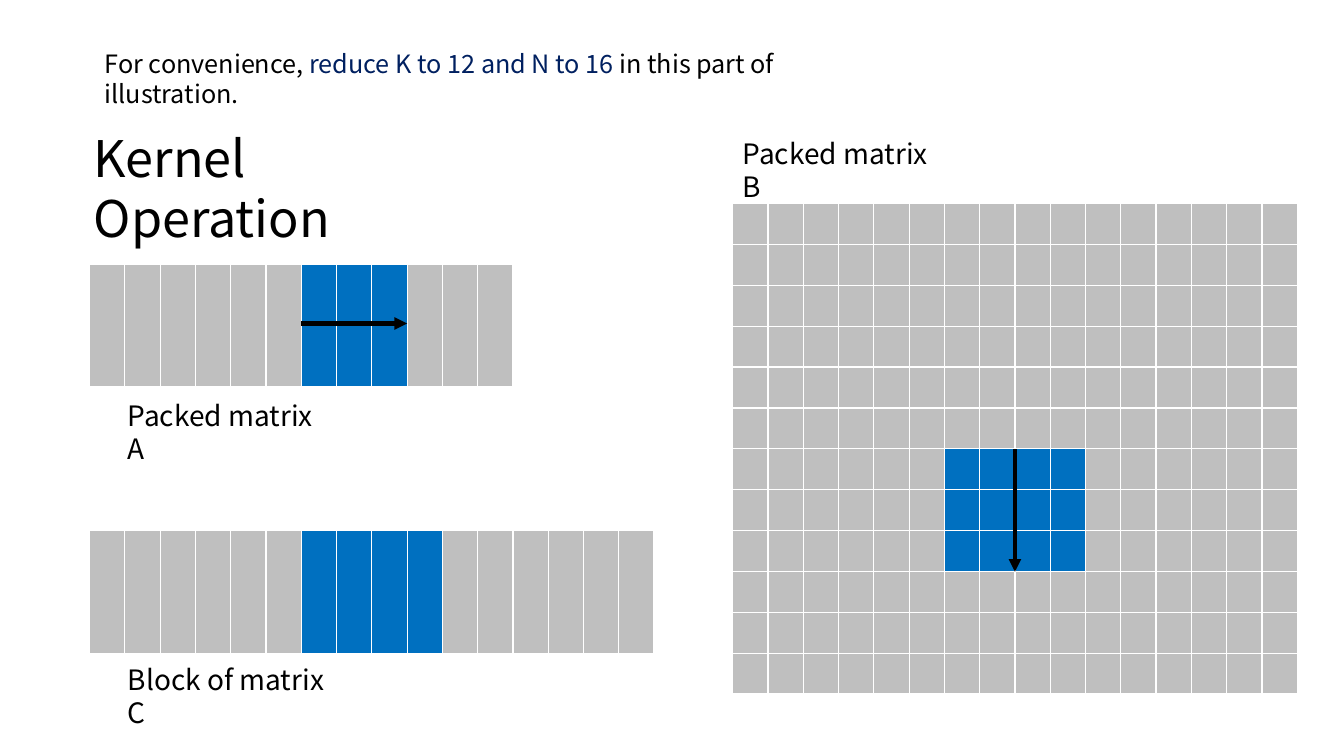
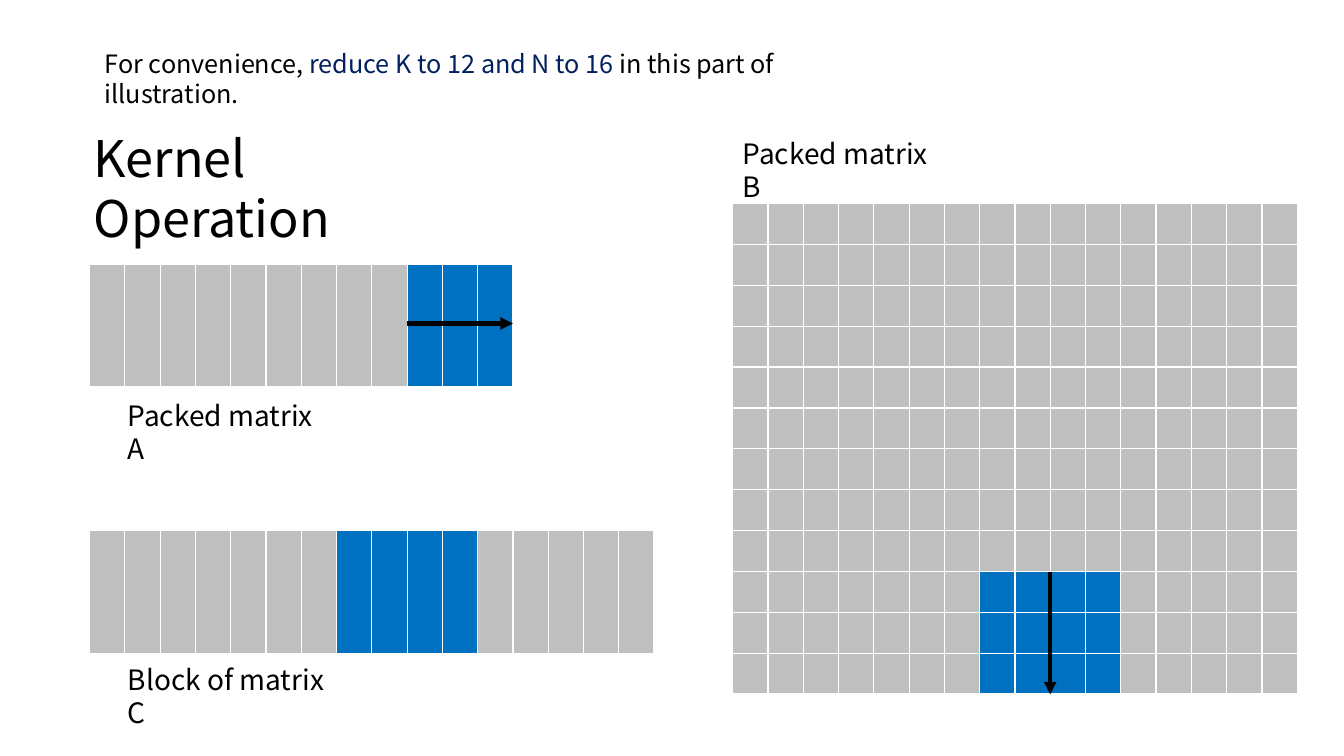
from lxml import etree
from pptx import Presentation
from pptx.dml.color import RGBColor
from pptx.enum import shapes, text
from pptx.oxml.ns import qn
from pptx.util import Pt

FONT = "Noto Sans CJK SC"
COLOURS = {
    "text": "000000",
    "emphasis": "002060",
    "idle": "BFBFBF",
    "active": "0070C0",
    "grid": "FFFFFF",
}
COLUMN = 25.2
ROW = 29.22
K, N = 12, 16
K_STEP, N_STEP = 3, 4
A_LEFT, A_TOP, A_HEIGHT = 64, 188.6, 88.6
C_TOP, C_HEIGHT = 378.7, 89.3
B_LEFT, B_TOP = 523.4, 145.4
ARROW_A_Y = 231.1

HEADING = (59.8, 87.1, 280, 51, 36, [("Kernel Operation", "text")])
REMARK = (67.7, 31, 561, 29, 18, [
    ("For convenience, ", "text"),
    ("reduce K to 12 and N to 16 ", "emphasis"),
    ("in this part of illustration.", "text"),
])
CAPTIONS = [
    (84.2, 280.8, 154, 32, 20, [("Packed matrix A", "text")]),
    (523.4, 93.6, 153, 32, 20, [("Packed matrix B", "text")]),
    (84.2, 469.4, 161, 32, 20, [("Block of matrix C", "text")]),
]
# First active row of B (along K) and first active column of B and C (along N)
STEPS = [(6, 6), (9, 7)]


def rgb(name):
    return RGBColor.from_string(COLOURS[name])


def add_label(slide, left, top, width, height, size, pieces):
    frame = slide.shapes.add_textbox(Pt(left), Pt(top), Pt(width), Pt(height)).text_frame
    frame.word_wrap = True
    frame.auto_size = text.MSO_AUTO_SIZE.NONE
    for wording, colour in pieces:
        run = frame.paragraphs[0].add_run()
        run.text = wording
        run.font.name = FONT
        run.font.size = Pt(size)
        run.font.color.rgb = rgb(colour)
        east_asian = etree.SubElement(run.font._element, qn("a:ea"))
        east_asian.set("typeface", FONT)


def outline_cell(cell, bottom_width):
    properties = cell._tc.get_or_add_tcPr()
    sides = [("lnL", 1), ("lnR", 1), ("lnT", 1), ("lnB", bottom_width)]
    for position, (side, width) in enumerate(sides):
        border = etree.Element(qn(f"a:{side}"), w=str(Pt(width)))
        fill = etree.SubElement(border, qn("a:solidFill"))
        etree.SubElement(fill, qn("a:srgbClr"), val=COLOURS["grid"])
        properties.insert(position, border)


def add_matrix(slide, left, top, row_height, rows, columns, active_rows, active_columns,
               bottom_width=1):
    """Draw a grid whose cells in both active ranges are highlighted."""
    matrix = slide.shapes.add_table(rows, columns, Pt(left), Pt(top),
                                    Pt(columns * COLUMN), Pt(rows * row_height)).table
    for column in matrix.columns:
        column.width = Pt(COLUMN)
    for r, row in enumerate(matrix.rows):
        row.height = Pt(row_height)
        for c, cell in enumerate(row.cells):
            active = r in active_rows and c in active_columns
            cell.margin_left = cell.margin_right = cell.margin_top = cell.margin_bottom = 0
            cell.fill.solid()
            cell.fill.fore_color.rgb = rgb("active" if active else "idle")
            outline_cell(cell, bottom_width)


def add_arrow(slide, x1, y1, x2, y2):
    arrow = slide.shapes.add_connector(shapes.MSO_CONNECTOR.STRAIGHT,
                                       Pt(x1), Pt(y1), Pt(x2), Pt(y2))
    arrow.line.width = Pt(3)
    arrow.line.color.rgb = rgb("text")
    etree.SubElement(arrow.line._get_or_add_ln(), qn("a:tailEnd"), type="triangle")
    etree.SubElement(arrow._element.spPr, qn("a:effectLst"))


def add_kernel_slide(deck, k_start, n_start):
    slide = deck.slides.add_slide(deck.slide_layouts[6])
    for label in [HEADING, REMARK, *CAPTIONS]:
        add_label(slide, *label)

    k_active = range(k_start, k_start + K_STEP)
    n_active = range(n_start, n_start + N_STEP)
    add_matrix(slide, A_LEFT, A_TOP, A_HEIGHT, 1, K, range(1), k_active, bottom_width=3)
    add_matrix(slide, A_LEFT, C_TOP, C_HEIGHT, 1, N, range(1), n_active, bottom_width=3)
    add_matrix(slide, B_LEFT, B_TOP, ROW, K, N, k_active, n_active)

    arrow_a_x = A_LEFT + k_start * COLUMN
    add_arrow(slide, arrow_a_x, ARROW_A_Y, arrow_a_x + K_STEP * COLUMN, ARROW_A_Y)
    arrow_b_x = B_LEFT + (n_start + N_STEP / 2) * COLUMN
    arrow_b_y = B_TOP + k_start * ROW
    add_arrow(slide, arrow_b_x, arrow_b_y, arrow_b_x, arrow_b_y + K_STEP * ROW)


def main():
    deck = Presentation()
    deck.slide_width, deck.slide_height = Pt(960), Pt(540)
    for k_start, n_start in STEPS:
        add_kernel_slide(deck, k_start, n_start)
    deck.save("out.pptx")


if __name__ == "__main__":
    main()
